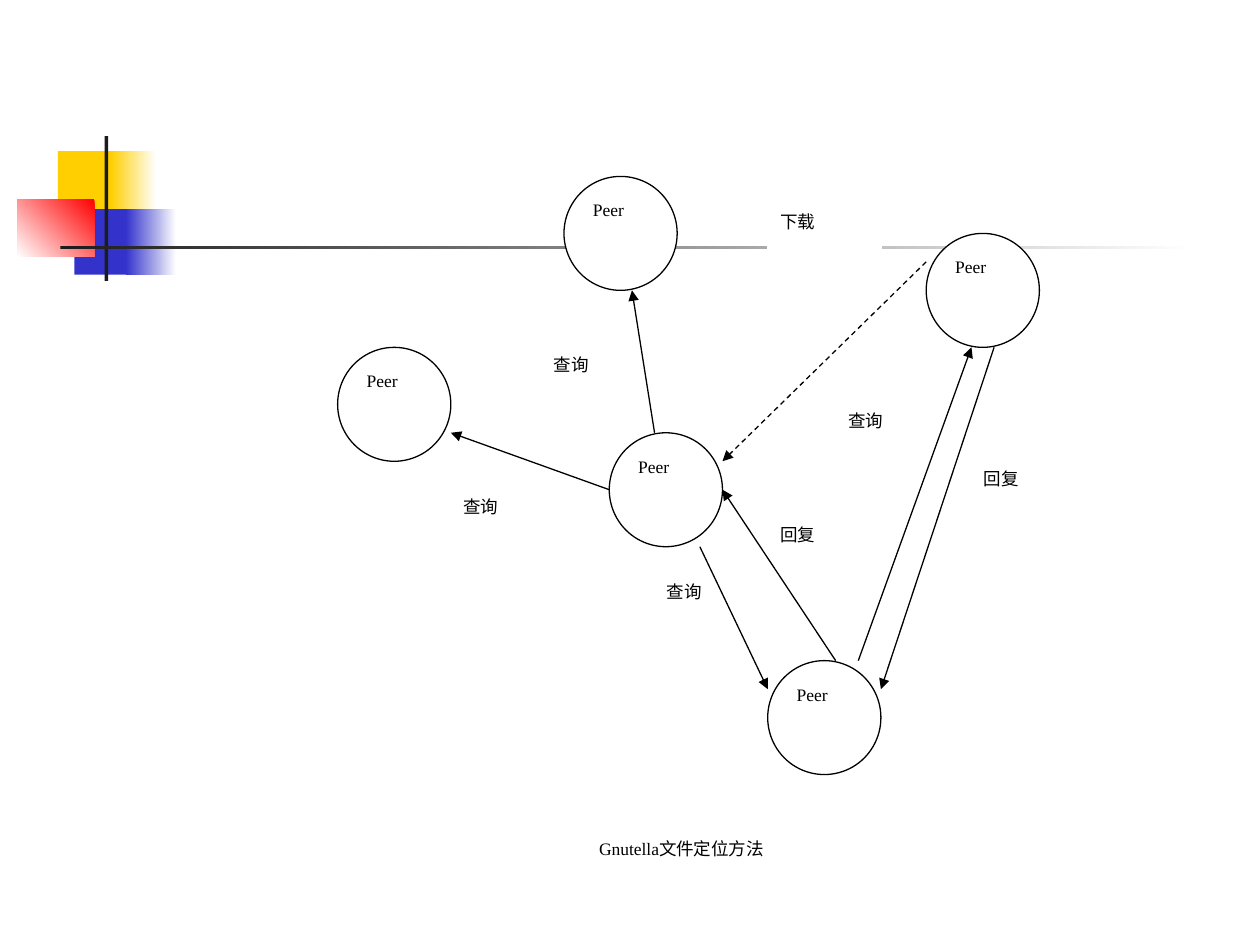
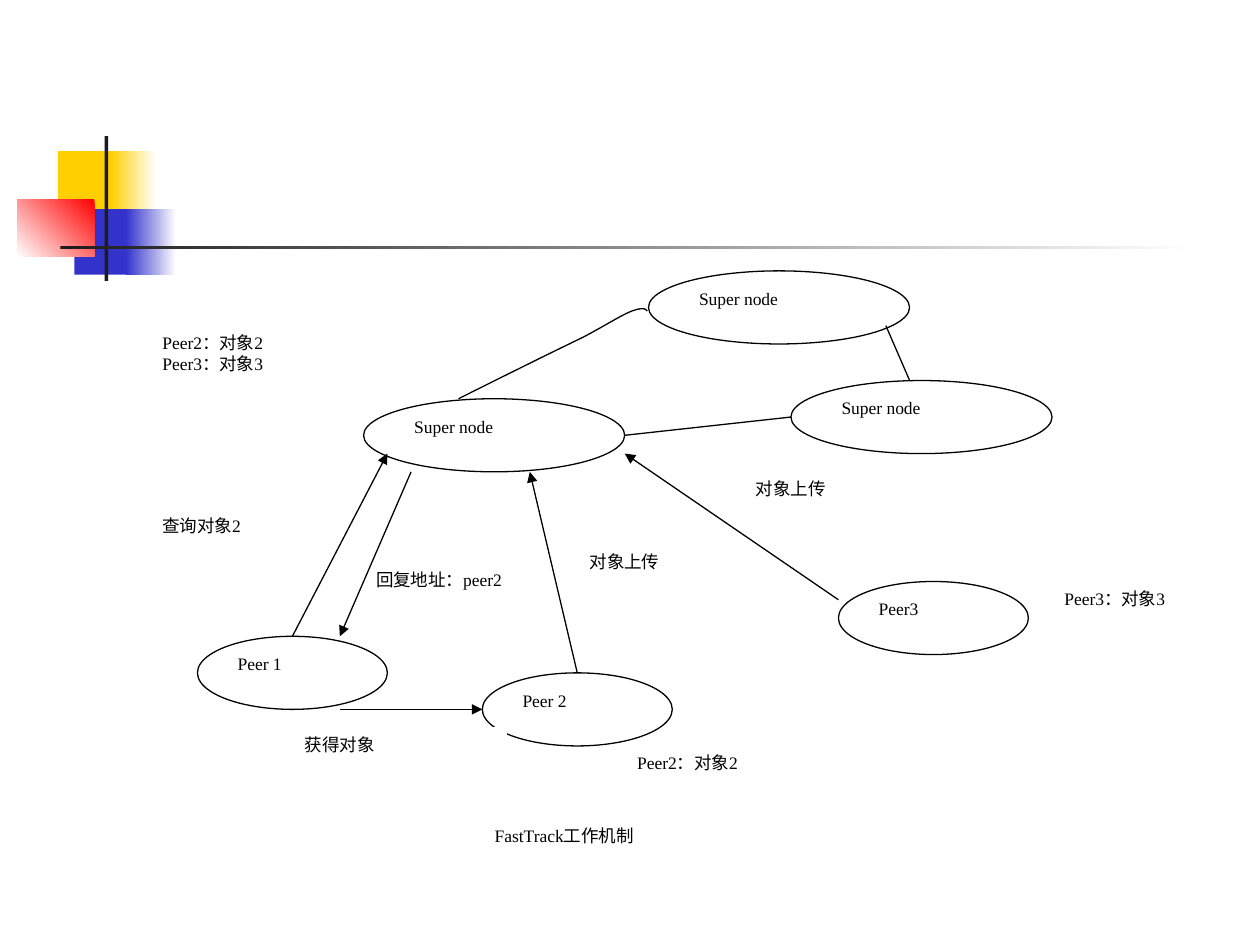
import dataclasses

import lxml.etree
import pptx
import pptx.dml.color
import pptx.enum.dml
import pptx.enum.shapes
import pptx.enum.text
import pptx.oxml.ns
import pptx.util

SHAPE = pptx.enum.shapes.MSO_SHAPE
DASH = pptx.enum.dml.MSO_LINE.DASH


@dataclasses.dataclass(frozen=True)
class Theme:
    paper: str = "FFFFFF"
    ink: str = "000000"
    yellow: str = "FFCF01"
    blue: str = "3333CC"
    red: str = "FF0000"
    rule: str = "1C1C1C"
    font: str = "Times New Roman"
    size: float = 10
    line: float = 0.75


@dataclasses.dataclass(frozen=True)
class Grid:
    left: float
    top: float
    col: float
    row: float

    def point(self, x, y):
        return (pptx.util.Inches(self.left + x * self.col),
                pptx.util.Inches(self.top + y * self.row))

    def box(self, x, y, cols, rows):
        return (*self.point(x, y), pptx.util.Inches(cols * self.col),
                pptx.util.Inches(rows * self.row))


THEME = Theme()
INCHES = Grid(0, 0, 1, 1)
GNUTELLA = Grid(2.68, 1.4, 5.21 / 29, 5.2 / 23)
FASTTRACK = Grid(1.19, 2.15, 7.16 / 38, 4.35 / 30)


def rgb(color):
    return pptx.dml.color.RGBColor.from_string(color)


def set_line(line, color):
    line.color.rgb = rgb(color)
    line.width = pptx.util.Pt(THEME.line)


def add_block(s, box, color, fade=None):
    sp = s.shapes.add_shape(SHAPE.RECTANGLE, *INCHES.box(*box))
    sp.shadow.inherit = False
    sp.line.fill.background()
    if fade is None:
        sp.fill.solid()
        sp.fill.fore_color.rgb = rgb(color)
    else:
        sp.fill.gradient()
        sp.fill.gradient_angle = fade
        for stop, stop_color in zip(sp.fill.gradient_stops, (color, THEME.paper)):
            stop.color.rgb = rgb(stop_color)
    return sp


def add_band(s, layout):
    blocks = [
        ((0.46, 1.2, 0.48, 0.52), THEME.yellow),
        ((0.88, 1.2, 0.36, 0.52), THEME.yellow, 0),
        ((0.59, 1.66, 0.46, 0.52), THEME.blue),
        ((1, 1.66, 0.4, 0.52), THEME.blue, 0),
        ((0.14, 1.58, 0.61, 0.46), THEME.red, 225),
        ((0.83, 1.08, 0.03, 1.15), THEME.rule),
        ((0.48, 1.95, 9, 0.03), THEME.rule, 0),
    ]
    for block in blocks:
        layout.shapes.element.append(add_block(s, *block).element)


def add_text_shape(s, kind, box, lines, outline):
    sp = s.shapes.add_shape(kind, *box)
    sp.shadow.inherit = False
    sp.fill.solid()
    sp.fill.fore_color.rgb = rgb(THEME.paper)
    set_line(sp.line, outline)
    tf = sp.text_frame
    tf.word_wrap = True
    tf.vertical_anchor = pptx.enum.text.MSO_ANCHOR.TOP
    for i, line in enumerate(lines):
        p = tf.add_paragraph() if i else tf.paragraphs[0]
        p.alignment = pptx.enum.text.PP_ALIGN.JUSTIFY
        r = p.add_run()
        r.text = line
        r.font.name = THEME.font
        r.font.size = pptx.util.Pt(THEME.size)
        r.font.color.rgb = rgb(THEME.ink)


def add_labels(s, grid, labels):
    for box, *lines in labels:
        add_text_shape(s, SHAPE.RECTANGLE, grid.box(*box), lines, THEME.paper)


def add_nodes(s, grid, nodes):
    for box, name in nodes:
        add_text_shape(s, SHAPE.OVAL, grid.box(*box), [name], THEME.ink)


def add_link(s, grid, start, end, arrow=True, dash=None):
    cx = s.shapes.add_connector(pptx.enum.shapes.MSO_CONNECTOR.STRAIGHT,
                                *grid.point(*start), *grid.point(*end))
    set_line(cx.line, THEME.ink)
    if dash is not None:
        cx.line.dash_style = dash
    if arrow:
        lxml.etree.SubElement(cx.line._get_or_add_ln(), pptx.oxml.ns.qn("a:tailEnd"),
                              type="triangle")
    lxml.etree.SubElement(cx.element.spPr, pptx.oxml.ns.qn("a:effectLst"))


def bezier(points, t):
    a, b, c, d = ((1 - t) ** 3, 3 * t * (1 - t) ** 2, 3 * t * t * (1 - t), t ** 3)
    return tuple(a * p + b * q + c * r + d * e for p, q, r, e in zip(*points))


def add_curve(s, grid, controls, steps=10):
    track = [grid.point(*bezier(controls[i:i + 4], n / steps))
             for i in range(0, len(controls) - 1, 3) for n in range(1, steps + 1)]
    fb = s.shapes.build_freeform(*grid.point(*controls[0]))
    fb.add_line_segments(track, close=False)
    sp = fb.convert_to_shape()
    sp.shadow.inherit = False
    sp.fill.background()
    set_line(sp.line, THEME.ink)


def draw_gnutella(s):
    add_labels(s, GNUTELLA, [
        ((19, 12, 5, 3), "回复"),
        ((22, 8, 5, 3.5), "查询"),
        ((14, 14, 5, 3), "查询"),
        ((9, 6, 5, 3), "查询"),
        ((5, 11, 5, 3), "查询"),
        ((28, 10, 5, 3), "回复"),
        ((19, 1, 5, 3), "下载"),
        ((11, 23, 13, 3), "Gnutella文件定位方法"),
    ])
    peers = [(12, 9), (0, 6), (19, 17), (10, 0), (26, 2)]
    add_nodes(s, GNUTELLA, [((*corner, 5, 4), "Peer") for corner in peers])
    for start, end in [
        ((14, 9), (13, 4)),
        ((12, 11), (5, 9)),
        ((16, 13), (19, 18)),
        ((23, 17), (28, 6)),
        ((29, 6), (24, 18)),
        ((22, 17), (17, 11)),
    ]:
        add_link(s, GNUTELLA, start, end)
    add_link(s, GNUTELLA, (26, 3), (17, 10), dash=DASH)


def draw_fasttrack(s):
    add_labels(s, FASTTRACK, [
        ((25, 11, 9, 5), "对象上传"),
        ((38, 17, 7, 5), "Peer3：对象3"),
        ((18, 15, 9, 5), "对象上传"),
        ((9, 16, 9, 5), "回复地址：peer2"),
        ((0, 13, 8, 3.5), "查询对象2"),
        ((0, 3, 9, 5), "Peer2：对象2", "Peer3：对象3"),
        ((20, 26, 9, 4.5), "Peer2：对象2"),
        ((14, 30, 14, 4), "FastTrack工作机制"),
    ])
    supers = [(9, 7), (21, 0), (27, 6)]
    peers = [(2, 20, "Peer 1"), (29, 17, "Peer3"), (14, 22, "Peer 2")]
    add_nodes(s, FASTTRACK, [((*corner, 11, 4), "Super node") for corner in supers])
    add_nodes(s, FASTTRACK, [((x, y, 8, 4), name) for x, y, name in peers])
    for start, end in [
        ((6, 20), (10, 10)),
        ((18, 22), (16, 11)),
        ((8, 24), (14, 24)),
        ((11, 11), (8, 20)),
        ((29, 18), (20, 10)),
    ]:
        add_link(s, FASTTRACK, start, end)
    add_curve(s, FASTTRACK, [
        (13, 7), (15.07, 5.65), (17.1, 4.35), (18.3, 3.6), (19.5, 2.75),
        (19.9, 2.4), (20.3, 2.2), (20.75, 2), (20.85, 2.05), (20.95, 2.2),
    ])
    add_link(s, FASTTRACK, (31, 3), (32, 6), arrow=False)
    add_link(s, FASTTRACK, (20, 9), (27, 8), arrow=False)
    add_labels(s, FASTTRACK, [((6, 25, 9, 5), "获得对象")])


def main():
    prs = pptx.Presentation()
    prs.slide_width = pptx.util.Inches(10)
    prs.slide_height = pptx.util.Inches(7.5)
    blank = prs.slide_layouts.get_by_name("Blank")
    slides = [prs.slides.add_slide(blank) for _ in range(2)]
    add_band(slides[0], blank)
    draw_gnutella(slides[0])
    draw_fasttrack(slides[1])
    prs.save("out.pptx")


if __name__ == "__main__":
    main()
